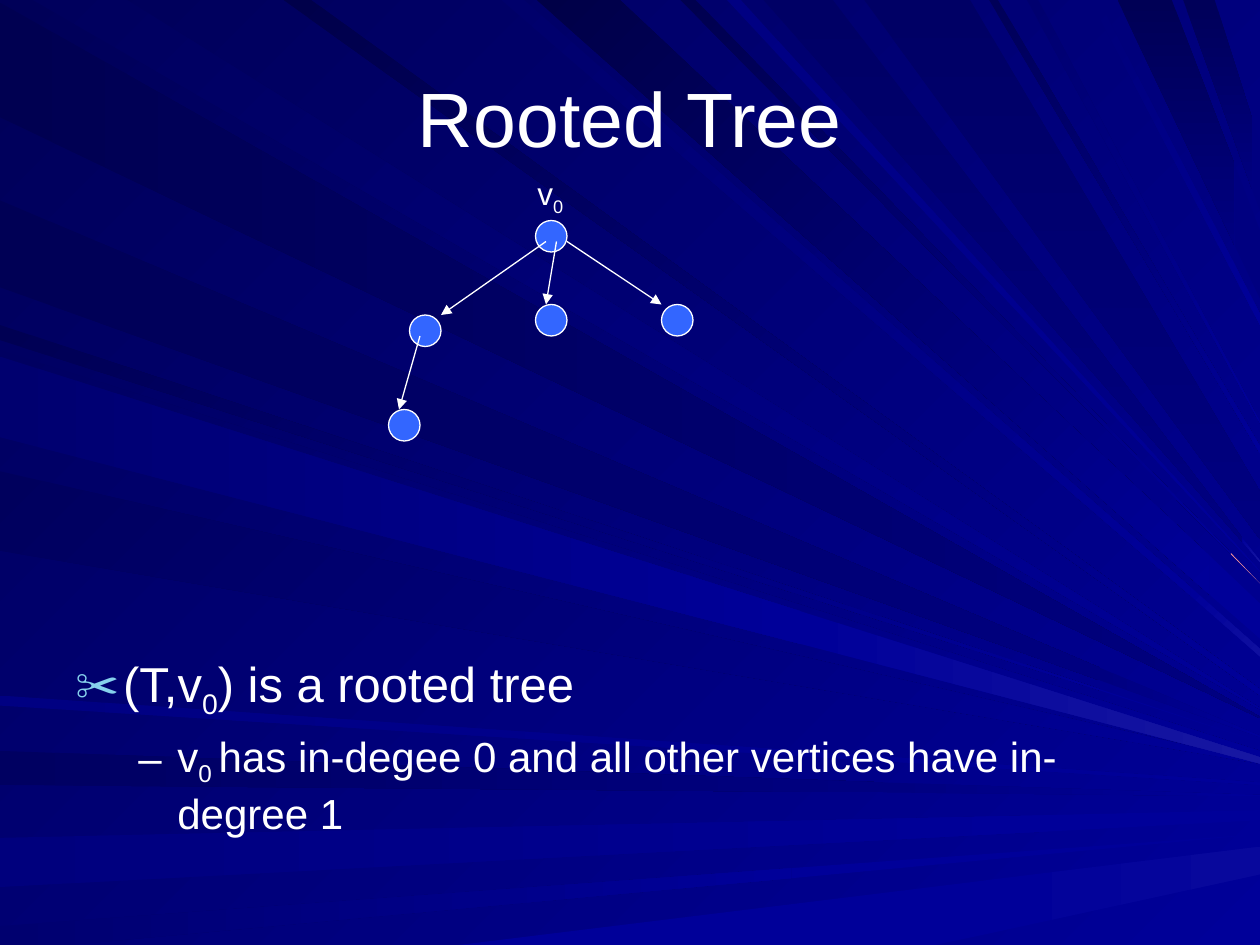
from collections import namedtuple
from lxml.etree import SubElement as Sub
from pptx import Presentation
from pptx.dml.color import RGBColor as Rgb
from pptx.enum.shapes import MSO_CONNECTOR as Conn, MSO_SHAPE as Shape
from pptx.enum.text import MSO_ANCHOR as Anchor, PP_ALIGN as Align
from pptx.oxml.ns import qn
from pptx.util import Inches, Pt

WIDE, HIGH = Inches(10), Inches(7.5)
COLS, ROWS = 120, 90
SPAN, DROP = 1000, 750
UNIT = WIDE // SPAN
FACE = "Arial"

HEX = {"white": "FFFFFF", "node": "3366FF", "mark": "86D1EC", "pink": "FF9999",
       "glow1": "08089C", "glow2": "0F0F9F", "glow3": "1717A2"}
BLUES = "47 4A 4F 51 53 55 58 59 5D 61 65 6B 6F 79 7D 80 82 99"
HEX.update({blue: f"0000{blue}" for blue in BLUES.split()})

Beam = namedtuple("Beam", "start stop upper lower dark lit angle cut tail",
                  defaults=(SPAN, None))
BEAMS = [
    Beam(-2, -93, 569, 570, "51", "80", 0),
    Beam(101, 26, 562, 563, "5D", "99", 45),
    Beam(-596, -623, 631, 632, "61", "80", 0, 701, ("80", "99")),
    Beam(-665, -704, 643, 651, "7D", "99", 0, 831, ("99", "99")),
    Beam(-735, -804, 662, 662, "6F", "99", 0, 628, ("99", "99")),
    Beam(-1114, -1492, 672, 694, "99", "99", 0, 780, ("99", "glow1")),
    Beam(-258, -270, 589, 589, "53", "99", 45, 873, ("99", "99")),
    Beam(-159, -228, 584, 585, "55", "80", 0, 873, ("80", "99")),
    Beam(416, 398, 515, 521, "6B", "99", 45, 945, ("99", "glow2")),
    Beam(492, 426, 479, 507, "47", "99", 45, 960, ("99", "99")),
    Beam(552, 540, 463, 463, "4F", "99", 45, 977, ("pink", "pink")),
    Beam(661, 606, 445, 446, "65", "80", 90, 986, ("99", "glow3")),
    Beam(930, 887, 183, 237, "55", "80", 90, 980, ("80", "80")),
    Beam(964, 939, 114, 167, "59", "80", 90, 994, ("80", "80")),
    Beam(-278, -342, 596, 602, "61", "99", 45),
    Beam(-374, -437, 605, 606, "5D", "99", 45),
    Beam(-552, -560, 621, 623, "82", "99", 0),
    Beam(247, 225, 547, 552, "4A", "99", 45),
    Beam(588, 577, 453, 454, "82", "99", 45),
    Beam(770, 686, 390, 428, "65", "80", 90),
    Beam(792, 785, 354, 360, "58", "99", 45),
    Beam(824, 815, 335, 336, "6F", "99", 45),
    Beam(872, 865, 249, 258, "79", "99", 45),
    Beam(-283, -347, 601, 606, "6F", "99", 0, 635, ("99", "glow3")),
]

NODES = {"root": (14, 5), "left": (2, 14), "right": (26, 13),
         "mid": (14, 13), "leaf": (0, 23)}
EDGES = [("root", (1, 2), "left", (3, 0)), ("root", (2, 2), "mid", (1, 0)),
         ("root", (3, 2), "right", (0, 0)), ("left", (1, 2), "leaf", (1, 0))]


def tint(name):
    return Rgb.from_string(HEX[name])


def format_all(item, values):
    for name, value in values.items():
        setattr(item, name, value)


def paint(fill, start, end, angle=0):
    if start == end:
        fill.solid()
        fill.fore_color.rgb = tint(start)
        return
    fill.gradient()
    fill.gradient_angle = -angle % 360
    for stop, name in zip(fill.gradient_stops, (start, end)):
        stop.color.rgb = tint(name)


def rim(walk):
    if walk >= 0:
        return walk, 0
    return (0, -walk) if walk >= -DROP else (-walk - DROP, DROP)


def meet(point, end, x):
    left, top = point
    return x, round(top + (end - top) * (x - left) / (SPAN - left))


def add_ray(slide, points, start, end, angle):
    pen = slide.shapes.build_freeform(*points[0], scale=UNIT)
    pen.add_line_segments(points[1:], close=True)
    ray = pen.convert_to_shape()
    ray.shadow.inherit = False
    ray.line.fill.background()
    paint(ray.fill, start, end, angle)


def draw_rays(slide):
    paint(slide.background.fill, "58", "99", 45)
    for beam in BEAMS:
        near, far = rim(beam.start), rim(beam.stop)
        turn = [(0, DROP)] if beam.start > -DROP > beam.stop else []
        top = meet(near, beam.upper, beam.cut)
        low = meet(far, beam.lower, beam.cut)
        add_ray(slide, [near, top, low, far, *turn],
                beam.dark, beam.lit, beam.angle)
        if beam.tail:
            ends = [(SPAN, beam.upper), (SPAN, beam.lower)]
            add_ray(slide, [top, *ends, low], *beam.tail, beam.angle)


def add_text(slide, box, anchor=Anchor.TOP):
    frame = slide.shapes.add_textbox(*box).text_frame
    format_all(frame, {"word_wrap": True, "vertical_anchor": anchor})
    return frame


def write(para, size, *parts):
    for text, base in parts:
        run = para.add_run()
        run.text = text
        format_all(run.font, {"size": Pt(size), "name": FACE})
        run.font.color.rgb = tint("white")
        if base:
            run._r.get_or_add_rPr().set("baseline", str(base * 1000))


def mark(para, sign, color, left, hang, scale):
    props = para._p.get_or_add_pPr()
    props.set("marL", str(Inches(left)))
    props.set("indent", str(-Inches(hang)))
    tone = Sub(props, qn("a:buClr"))
    Sub(tone, qn("a:srgbClr")).set("val", HEX[color])
    Sub(props, qn("a:buSzPct")).set("val", str(scale * 1000))
    Sub(props, qn("a:buFont")).set("typeface", FACE)
    Sub(props, qn("a:buChar")).set("char", sign)


def draw_title(slide, box):
    para = add_text(slide, box, Anchor.MIDDLE).paragraphs[0]
    para.alignment = Align.CENTER
    write(para, 44, ("Rooted Tree", 0))


def draw_notes(slide, box):
    frame = add_text(slide, box)
    top = frame.paragraphs[0]
    mark(top, "✂", "mark", 0.38, 0.38, 90)
    write(top, 28, ("(T,v", 0), ("0", -25), (") is a rooted tree", 0))
    sub = frame.add_paragraph()
    mark(sub, "–", "white", 0.81, 0.31, 100)
    format_all(sub, {"level": 1, "space_before": Pt(6)})
    write(sub, 24, ("v", 0), ("0 ", -25),
          ("has in-degee 0 and all other vertices have in-degree 1", 0))


def draw_tree(slide, box):
    left, top, wide, high = box
    cell_w, cell_h = wide / 29, high / 26

    def spot(place, shift=(0, 0)):
        col, row = place[0] + shift[0], place[1] + shift[1]
        return round(left + col * cell_w), round(top + row * cell_h)

    def outline(line):
        line.color.rgb = tint("white")
        line.width = Pt(0.75)

    for place in NODES.values():
        node = slide.shapes.add_shape(Shape.OVAL, *spot(place),
                                      round(3 * cell_w), round(3 * cell_h))
        node.shadow.inherit = False
        paint(node.fill, "node", "node")
        outline(node.line)

    for parent, leave, child, reach in EDGES:
        edge = slide.shapes.add_connector(
            Conn.STRAIGHT, *spot(NODES[parent], leave), *spot(NODES[child], reach))
        outline(edge.line)
        Sub(edge.line._get_or_add_ln(), qn("a:tailEnd")).set("type", "triangle")
        Sub(edge._element.spPr, qn("a:effectLst"))

    label = (*spot((13, 0)), round(6 * cell_w), round(5 * cell_h))
    write(add_text(slide, label).paragraphs[0], 18, ("v", 0), ("0", -25))


def area(col, row, cols, rows):
    return (round(WIDE * col / COLS), round(HIGH * row / ROWS),
            round(WIDE * cols / COLS), round(HIGH * rows / ROWS))


def main():
    deck = Presentation()
    format_all(deck, {"slide_width": WIDE, "slide_height": HIGH})
    slide = deck.slides.add_slide(deck.slide_layouts[6])
    draw_rays(slide)
    draw_title(slide, area(6, 3.6, 108, 15))
    draw_notes(slide, area(6, 61.6, 108, 18.8))
    draw_tree(slide, area(37, 16, 29, 26))
    deck.save("out.pptx")


if __name__ == "__main__":
    main()
